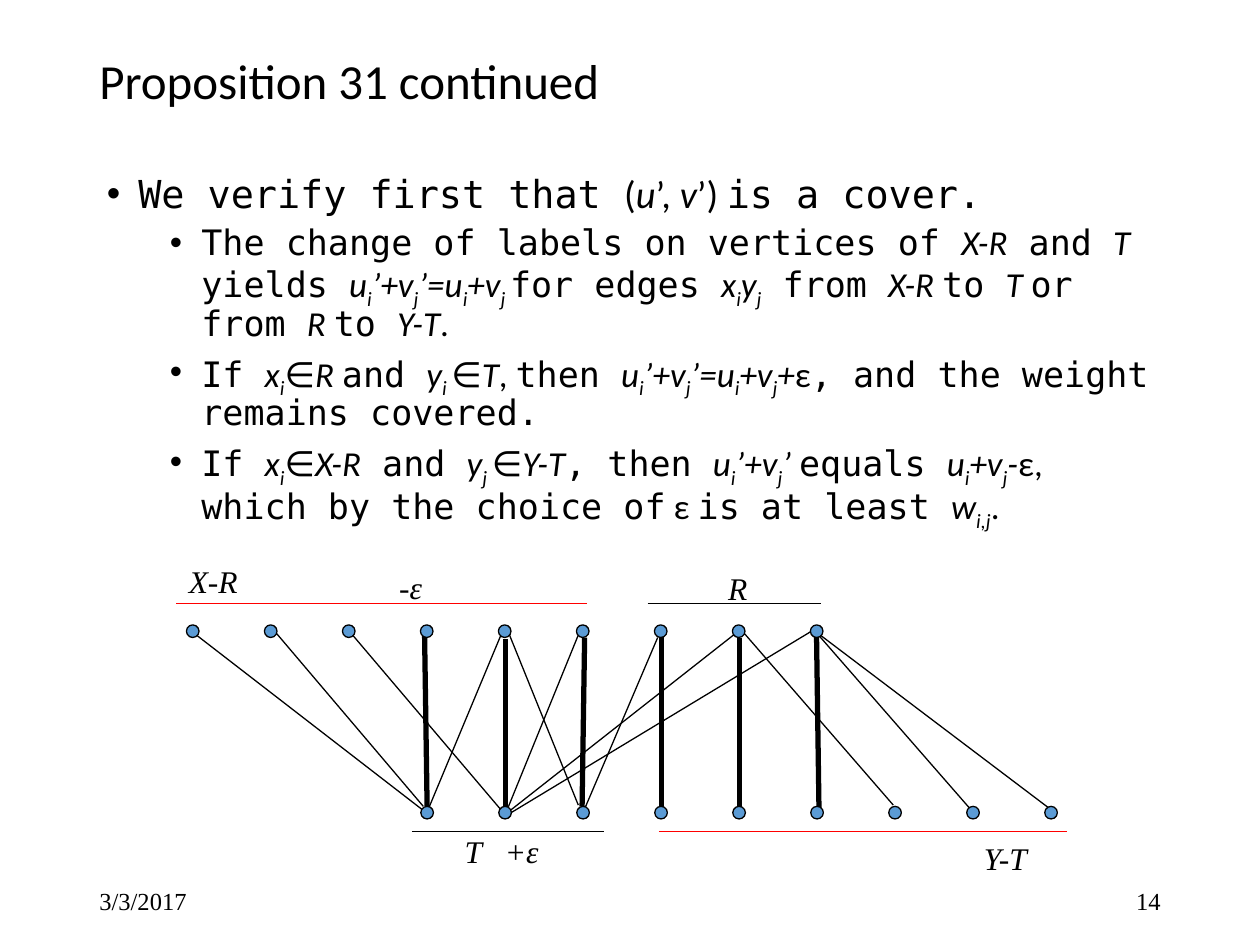
"""Build a slide on Proposition 31 with a bipartite graph of the cover change."""
from typing import NamedTuple

from lxml import etree
from pptx import Presentation
from pptx import util as u
from pptx.dml.color import RGBColor
from pptx.enum import shapes, text
from pptx.oxml import ns

SCALE = u.Inches(1) // 100
BLACK = RGBColor(0x00, 0x00, 0x00)
RED = RGBColor(0xFF, 0x00, 0x00)
BLUE = RGBColor(0x5B, 0x9B, 0xD5)
SERIF, SANS, MONO = "Times New Roman", "Calibri", "DejaVu Sans Mono"
DOT, DOT_STEP = 10, 61.9


class Label(NamedTuple):
    words: str
    left: int
    top: int
    width: int
    height: int
    size: int = 18
    font: str = SERIF
    italic: bool = True
    spacing: float = 1.0
    align: text.PP_ALIGN = text.PP_ALIGN.LEFT
    anchor: text.MSO_ANCHOR = text.MSO_ANCHOR.TOP


class Line(NamedTuple):
    x1: int
    y1: int
    x2: int
    y2: int
    weight: float = 0.75
    color: RGBColor = BLACK


class DotRow(NamedTuple):
    left: int
    top: int
    count: int


class Bullet(NamedTuple):
    """Runs are split by |; the first letter is m mono, c sans, i italic, s subscript."""
    runs: str
    size: int = 20
    indent: int = 75
    before: int = 5


LABELS = [
    Label("3/3/2017", 69, 695, 225, 40, 14, italic=False, anchor=text.MSO_ANCHOR.MIDDLE),
    Label("14", 706, 695, 225, 40, 14, italic=False, align=text.PP_ALIGN.RIGHT,
          anchor=text.MSO_ANCHOR.MIDDLE),
    Label("Proposition 31 continued", 69, 24, 862, 84, 28, SANS, False, 0.9,
          anchor=text.MSO_ANCHOR.MIDDLE),
    Label("T", 359, 661, 40, 34, spacing=0.8),
    Label("+ε", 391, 661, 94, 34, spacing=0.8),
    Label("Y-T", 771, 667, 64, 34, spacing=0.8),
    Label("R", 568, 447, 64, 40),
    Label("-ε", 307, 446, 64, 40),
    Label("X-R", 140, 441, 64, 40),
]

BULLETS = [
    Bullet("mWe verify first that |c(|iu|c’, |iv|c’) |mis a cover.", 22, 25, 0),
    Bullet("mThe change of labels on vertices of |iX-R|m and |iT |myields |iu|si|i’+v|sj|i’=u|si"
           "|i+v|sj |mfor edges |ix|si|iy|sj|m from |iX-R |mto |iT |mor from |iR |mto |iY-T|c."),
    Bullet("mIf |ix|si|c∈|iR |mand |iy|si |c∈|iT|c, |mthen |iu|si|i’+v|sj|i’=u|si|i+v|sj|i+|cε"
           "|m, and the weight remains covered."),
    Bullet("mIf |ix|si|c∈|iX-R|m and |iy|sj |c∈|iY-T|m, then |iu|si|i’+v|sj|i’ |mequals "
           "|iu|si|i+v|sj|i-|cε, |mwhich by the choice of|c ε |mis at least |iw|si,j|c."),
]

EDGES = [
    Line(152, 501, 337, 644), Line(218, 501, 336, 640), Line(279, 503, 397, 642),
    Line(647, 501, 836, 644), Line(647, 501, 770, 642), Line(591, 503, 709, 639),
    Line(644, 501, 404, 646), Line(586, 501, 404, 644), Line(398, 503, 340, 642),
    Line(404, 503, 459, 639), Line(522, 506, 464, 642), Line(459, 504, 402, 644),
]
MATCHING = [
    Line(337, 504, 339, 640, 3), Line(401, 507, 401, 642, 3), Line(464, 506, 462, 640, 3),
    Line(525, 504, 525, 645, 3), Line(587, 506, 587, 642, 3), Line(648, 501, 650, 643, 3),
]
SET_BARS = [
    Line(327, 660, 479, 660), Line(514, 479, 652, 479),
    Line(140, 479, 466, 479, color=RED), Line(523, 660, 847, 660, color=RED),
]
DOT_ROWS = [DotRow(148, 496, 9), DotRow(334, 640, 9)]


def px(length: float) -> u.Emu:
    return u.Emu(round(length * SCALE))


def add_frame(slide, left: int, top: int, width: int, height: int):
    frame = slide.shapes.add_textbox(px(left), px(top), px(width), px(height)).text_frame
    frame.word_wrap = True
    return frame


def draw_label(slide, label: Label) -> None:
    frame = add_frame(slide, label.left, label.top, label.width, label.height)
    frame.vertical_anchor = label.anchor
    paragraph = frame.paragraphs[0]
    paragraph.text = label.words
    paragraph.alignment = label.align
    paragraph.line_spacing = label.spacing
    font = paragraph.font
    font.name, font.size, font.italic = label.font, u.Pt(label.size), label.italic
    font.color.rgb = BLACK


def write_bullet(paragraph, bullet: Bullet) -> None:
    properties = paragraph._p.get_or_add_pPr()
    properties.set("marL", str(px(bullet.indent)))
    properties.set("indent", str(px(-25)))
    etree.SubElement(properties, ns.qn("a:buFont"), typeface="Arial")
    etree.SubElement(properties, ns.qn("a:buChar"), char="•")
    paragraph.line_spacing = 0.9
    paragraph.space_before = u.Pt(bullet.before)
    paragraph.font.size = u.Pt(bullet.size)
    paragraph.font.color.rgb = BLACK
    for piece in bullet.runs.split("|"):
        style, words = piece[0], piece[1:]
        run = paragraph.add_run()
        run.text = words
        run.font.name = MONO if style == "m" else SANS
        if style in "is":
            run.font.italic = True
        if style == "s":
            run.font._element.set("baseline", "-25000")


def draw_body(slide) -> None:
    frame = add_frame(slide, 75, 134, 850, 314)
    for index, bullet in enumerate(BULLETS):
        write_bullet(frame.add_paragraph() if index else frame.paragraphs[0], bullet)


def draw_line(slide, line: Line) -> None:
    connector = slide.shapes.add_connector(
        shapes.MSO_CONNECTOR.STRAIGHT, px(line.x1), px(line.y1), px(line.x2), px(line.y2))
    connector.line.width = u.Pt(line.weight)
    connector.line.color.rgb = line.color
    etree.SubElement(connector._element.spPr, ns.qn("a:effectLst"))


def draw_dots(slide, row: DotRow) -> None:
    for index in range(row.count):
        vertex = slide.shapes.add_shape(
            shapes.MSO_SHAPE.OVAL, px(row.left + index * DOT_STEP), px(row.top), px(DOT), px(DOT))
        vertex.shadow.inherit = False
        vertex.fill.solid()
        vertex.fill.fore_color.rgb = BLUE
        vertex.line.color.rgb = BLACK
        vertex.line.width = u.Pt(0.75)


def main() -> None:
    deck = Presentation()
    deck.slide_width, deck.slide_height = px(1000), px(750)
    slide = deck.slides.add_slide(deck.slide_layouts[6])
    draw_body(slide)
    for line in EDGES + MATCHING + SET_BARS:
        draw_line(slide, line)
    for row in DOT_ROWS:
        draw_dots(slide, row)
    for label in LABELS:
        draw_label(slide, label)
    deck.save("out.pptx")


if __name__ == "__main__":
    main()
